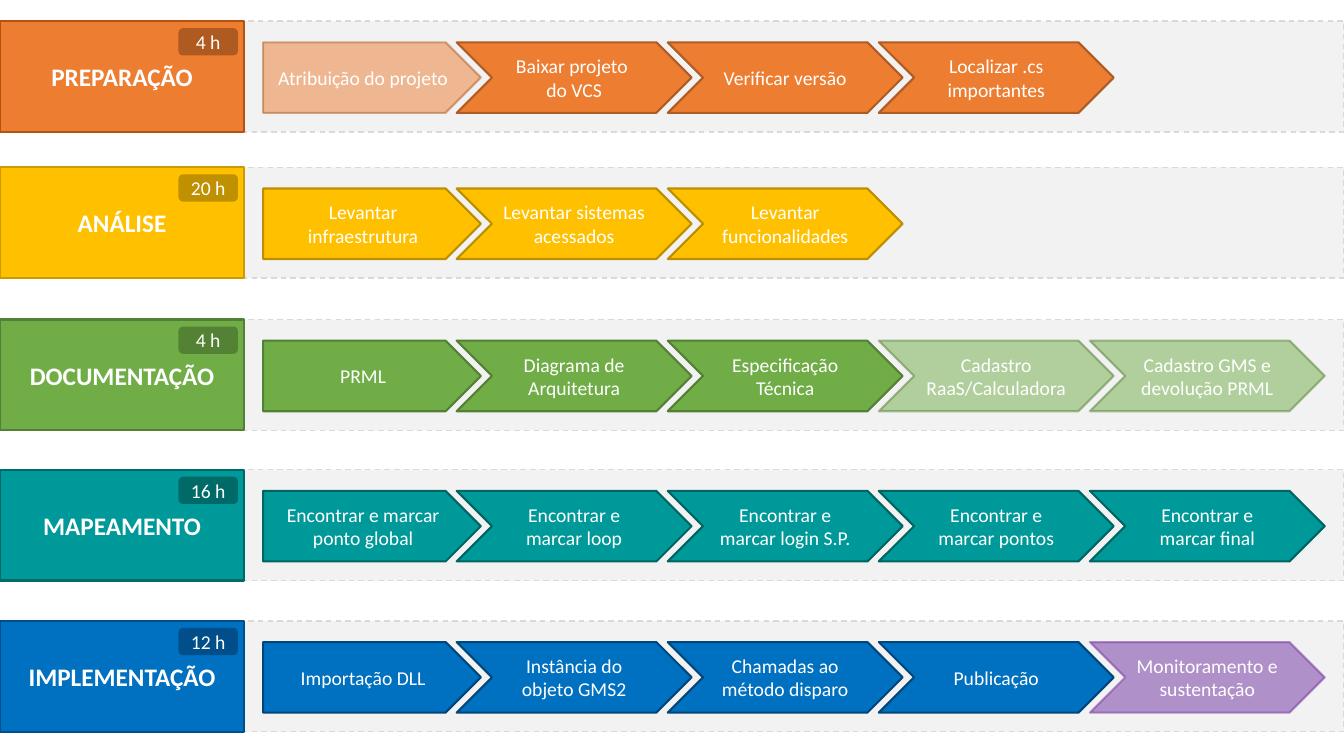
from collections import namedtuple
from dataclasses import dataclass

from lxml import etree
from pptx import Presentation
from pptx import util as u
from pptx.dml.color import RGBColor
from pptx.enum import dml, shapes, text
from pptx.oxml.ns import qn

Palette = namedtuple("Palette", "fill edge frame badge")
Phase = namedtuple("Phase", "top name hours palette steps")
Step = namedtuple("Step", "label palette", defaults=[None])  # palette set = faded


@dataclass(frozen=True)
class Theme:
    """Colours, font and sizes of the slide."""
    font: str = "Calibri"
    title_pt: int = 18
    body_pt: int = 14
    line_pt: float = 1.5
    band_line_pt: int = 1
    faded_pct: int = 50
    text: str = "FFFFFF"
    band: str = "F2F2F2"
    band_line: str = "D9D9D9"
    orange: Palette = Palette("ED7D31", "AF5C24", "B45210", "AE5A21")
    yellow: Palette = Palette("FFC000", "BD8E00", "CC9B00", "BF9000")
    green: Palette = Palette("70AD47", "538035", "538034", "548235")
    teal: Palette = Palette("009999", "006462", "006A68", "006A68")
    blue: Palette = Palette("0070C0", "00467A", "004F8A", "004F8A")
    purple: Palette = Palette("7030A0", "7030A0", "7030A0", "7030A0")


T = Theme()
KIND = shapes.MSO_SHAPE
WIDTH, HEIGHT = 13.33, 7.5
ROW_H, TITLE_W, BAND_LEFT = 1.1, 2.42, 2.38
STEP_TOP, STEP_H = 0.21, 0.7
FIRST_LEFT, FIRST_W = 2.61, 2.16
CHEVRON_LEFT, CHEVRON_W = 4.53, 2.33
PITCH = (10.81 - CHEVRON_LEFT) / 3

PHASES = [
    Phase(0.21, "PREPARAÇÃO", "4 h", T.orange, [
        Step("Atribuição do projeto", T.orange), Step("Baixar projeto \ndo VCS"),
        Step("Verificar versão"), Step("Localizar .cs importantes")]),
    Phase(1.66, "ANÁLISE", "20 h", T.yellow, [
        Step("Levantar infraestrutura"), Step("Levantar sistemas acessados"),
        Step("Levantar funcionalidades")]),
    Phase(3.17, "DOCUMENTAÇÃO", "4 h", T.green, [
        Step("PRML"), Step("Diagrama de Arquitetura"),
        Step("Especificação Técnica"),
        Step("Cadastro RaaS/Calculadora", T.green),
        Step("Cadastro GMS e devolução PRML", T.green)]),
    Phase(4.66, "MAPEAMENTO", "16 h", T.teal, [
        Step("Encontrar e marcar ponto global"), Step("Encontrar e marcar loop"),
        Step("Encontrar e marcar login S.P."),
        Step("Encontrar e marcar pontos"), Step("Encontrar e marcar final")]),
    Phase(6.16, "IMPLEMENTAÇÃO", "12 h", T.blue, [
        Step("Importação DLL"), Step("Instância do objeto GMS2"),
        Step("Chamadas ao método disparo"), Step("Publicação"),
        Step("Monitoramento e sustentação", T.purple)]),
]


def add_box(slide, kind, box, fill, line=None, line_pt=T.line_pt):
    """Add a flat preset shape in box (left, top, width, height)."""
    sp = slide.shapes.add_shape(kind, *map(u.Inches, box))
    sp.shadow.inherit = False
    sp.fill.solid()
    sp.fill.fore_color.rgb = RGBColor.from_string(fill)
    if line:
        sp.line.color.rgb = RGBColor.from_string(line)
        sp.line.width = u.Pt(line_pt)
    else:
        sp.line.fill.background()
    return sp


def write(sp, content, size=T.body_pt, bold=False):
    """Centre text in a shape, one paragraph per line of content."""
    tf = sp.text_frame
    tf.word_wrap = True
    tf.vertical_anchor = text.MSO_ANCHOR.MIDDLE
    tf.text = content
    for p in tf.paragraphs:
        p.alignment = text.PP_ALIGN.CENTER
        p.font.name, p.font.size, p.font.bold = T.font, u.Pt(size), bold
        p.font.color.rgb = RGBColor.from_string(T.text)


def fade(sp):
    """Make the fill and line of a shape translucent."""
    for color in sp._element.spPr.iter(qn("a:srgbClr")):
        etree.SubElement(color, qn("a:alpha")).set("val", str(T.faded_pct * 1000))


def add_band(slide, left, top, width):
    """Draw the dashed background band of a phase."""
    sp = add_box(slide, KIND.RECTANGLE, (left, top, width, ROW_H),
                 T.band, T.band_line, T.band_line_pt)
    sp.line.dash_style = dml.MSO_LINE.DASH


def add_steps(slide, top, phase):
    """Draw the chain of steps: a pentagon, then evenly spaced chevrons."""
    for i, step in enumerate(phase.steps):
        if i == 0:
            kind, left, width = KIND.PENTAGON, FIRST_LEFT, FIRST_W
        else:
            kind, width = KIND.CHEVRON, CHEVRON_W
            left = CHEVRON_LEFT + (i - 1) * PITCH
        palette = step.palette or phase.palette
        sp = add_box(slide, kind, (left, top, width, STEP_H),
                     palette.fill, palette.edge)
        write(sp, step.label)
        if step.palette:
            fade(sp)


def add_title(slide, left, top, phase):
    """Draw the phase name and its badge of hours."""
    palette = phase.palette
    sp = add_box(slide, KIND.RECTANGLE, (left, top, TITLE_W, ROW_H),
                 palette.fill, palette.frame)
    write(sp, phase.name, T.title_pt, bold=True)
    badge = add_box(slide, KIND.ROUNDED_RECTANGLE,
                    (left + 1.77, top + 0.07, 0.59, 0.27), palette.badge)
    write(badge, phase.hours)
    tf = badge.text_frame
    tf.margin_left = tf.margin_right = tf.margin_top = tf.margin_bottom = 0


def add_phase(slide, phase):
    """Draw one phase row across the slide."""
    add_band(slide, BAND_LEFT, phase.top, WIDTH - BAND_LEFT)
    add_steps(slide, phase.top + STEP_TOP, phase)
    add_title(slide, 0, phase.top, phase)


def main():
    """Build and save the slide."""
    prs = Presentation()
    prs.slide_width, prs.slide_height = u.Inches(WIDTH), u.Inches(HEIGHT)
    slide = prs.slides.add_slide(prs.slide_layouts[6])
    for phase in PHASES:
        add_phase(slide, phase)
    prs.save("out.pptx")


main()
